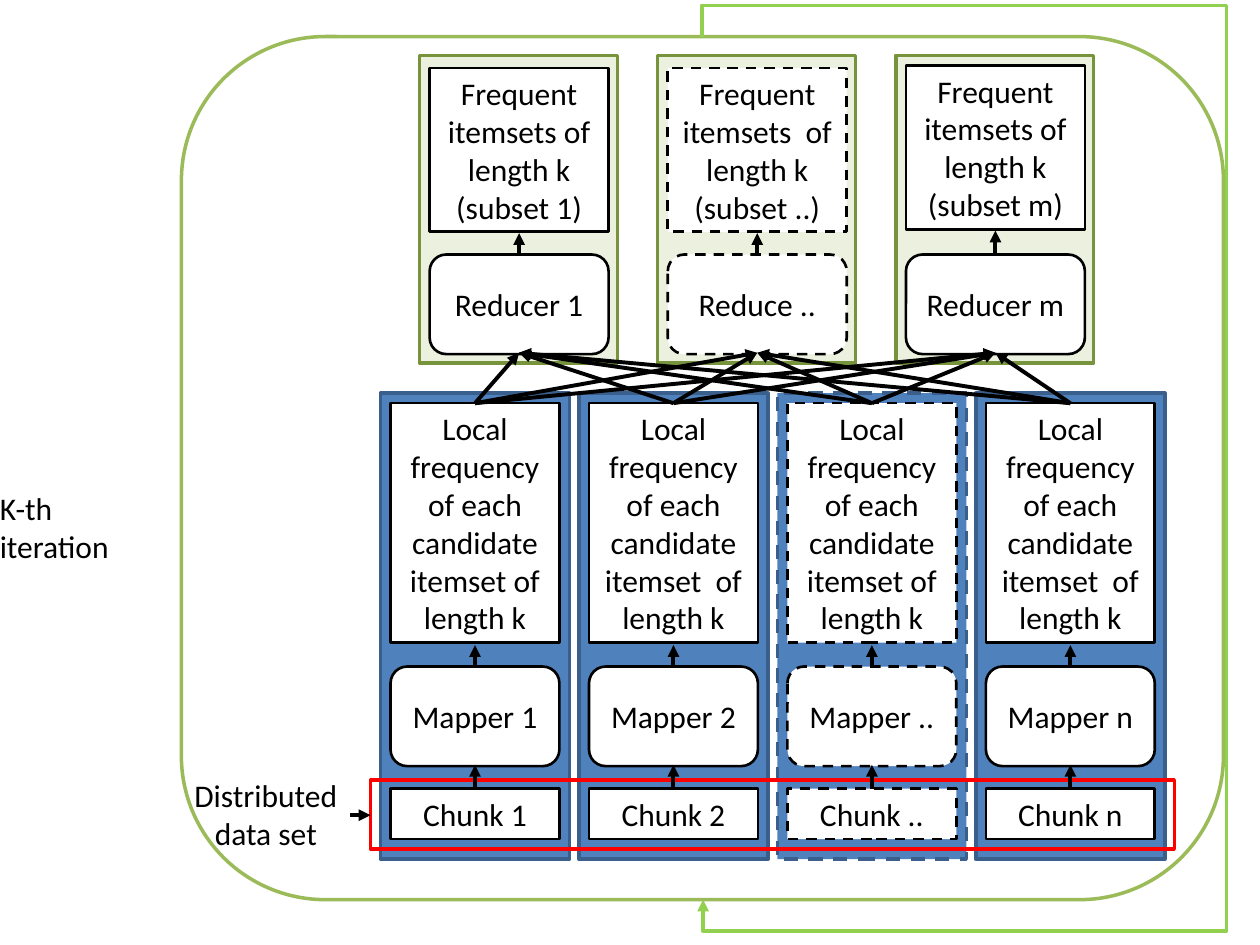
from itertools import product

from lxml import etree
from pptx import Presentation
from pptx.dml.color import RGBColor
from pptx.enum.dml import MSO_LINE
from pptx.enum.shapes import MSO_CONNECTOR, MSO_SHAPE
from pptx.enum.text import MSO_ANCHOR, PP_ALIGN
from pptx.oxml.ns import qn
from pptx.util import Inches, Pt

RECTANGLE, ROUNDED = MSO_SHAPE.RECTANGLE, MSO_SHAPE.ROUNDED_RECTANGLE
STRAIGHT, ELBOW = MSO_CONNECTOR.STRAIGHT, MSO_CONNECTOR.ELBOW
TOP, MIDDLE = MSO_ANCHOR.TOP, MSO_ANCHOR.MIDDLE
LEFT, CENTER = PP_ALIGN.LEFT, PP_ALIGN.CENTER
DASH = MSO_LINE.DASH

COLUMNS, ROWS = 100, 75
BLACK, WHITE, RED = "000000", "FFFFFF", "FF0000"
MAPPER_FILL, MAPPER_EDGE = "4F81BD", "3A5F8C"
REDUCER_FILL, REDUCER_EDGE = "EBF1DE", "77933C"
FRAME_EDGE, LOOP_COLOR = "9BBB59", "92D050"


def color(hex_value):
    """Turn a hex string into a colour."""
    return RGBColor.from_string(hex_value)


def write(shape, text, size=18, font="Calibri", ink=BLACK, align=CENTER,
          anchor=TOP, wrap=True):
    """Put formatted text into a shape, one paragraph per line."""
    frame = shape.text_frame
    frame.text = text
    frame.word_wrap = wrap
    frame.vertical_anchor = anchor
    for paragraph in frame.paragraphs:
        paragraph.alignment = align
        paragraph.font.size = Pt(size)
        paragraph.font.name = font
        paragraph.font.color.rgb = color(ink)


class Diagram:
    """Holds the slide, its grid and the line style."""

    def __init__(self, presentation):
        """Add a blank slide and measure its grid."""
        self.slide = presentation.slides.add_slide(presentation.slide_layouts[6])
        self.column = presentation.slide_width / COLUMNS
        self.row = presentation.slide_height / ROWS
        self.edge_width, self.box_width, self.arrow_width = 2, 1.5, 2.25

    def place(self, x, y):
        """Convert grid columns and rows to slide units."""
        return round(x * self.column), round(y * self.row)

    def box(self, kind, x, y, width, height, fill=WHITE, edge=BLACK,
            weight=None, dashed=False, text=None, **style):
        """Draw a preset shape, with text if given."""
        shape = self.slide.shapes.add_shape(
            kind, *self.place(x, y), *self.place(width, height))
        shape.shadow.inherit = False
        if fill:
            shape.fill.solid()
            shape.fill.fore_color.rgb = color(fill)
        else:
            shape.fill.background()
        shape.line.color.rgb = color(edge)
        shape.line.width = Pt(weight or self.box_width)
        if dashed:
            shape.line.dash_style = DASH
        if text:
            write(shape, text, **style)

    def panel(self, kind, x, y, width, height, fill, edge, dashed=False):
        """Draw a background area with a heavier edge."""
        self.box(kind, x, y, width, height, fill, edge, self.edge_width, dashed)

    def label(self, x, y, width, height, text, **style):
        """Add a free text box."""
        shape = self.slide.shapes.add_textbox(
            *self.place(x, y), *self.place(width, height))
        write(shape, text, **style)

    def arrow(self, x1, y1, x2, y2, ink=BLACK, kind=STRAIGHT):
        """Draw a connector with a triangle at its end."""
        connector = self.slide.shapes.add_connector(
            kind, *self.place(x1, y1), *self.place(x2, y2))
        connector.line.color.rgb = color(ink)
        connector.line.width = Pt(self.arrow_width)
        line = connector.line._get_or_add_ln()
        etree.SubElement(line, qn("a:tailEnd"), type="triangle")
        etree.SubElement(connector._element.spPr, qn("a:effectLst"))
        return connector

    def loop(self, x, top, bottom, right, overshoot, shift=0.1):
        """Lead an arrow from the top, around the right, to the bottom."""
        length = bottom - top
        center_x, center_y = x + shift / 2, (top + bottom) / 2
        connector = self.arrow(
            center_x - length / 2, center_y - shift / 2,
            center_x + length / 2, center_y + shift / 2, LOOP_COLOR, ELBOW)
        properties = connector._element.spPr
        transform = properties.find(qn("a:xfrm"))
        transform.set("rot", str(270 * 60000))
        transform.set("flipH", "1")
        geometry = properties.find(qn("a:prstGeom"))
        geometry.set("prst", "bentConnector5")
        guides = geometry.find(qn("a:avLst"))
        shares = (-overshoot / length, (right - x) / shift, 1 + overshoot / length)
        for number, share in enumerate(shares, 1):
            etree.SubElement(guides, qn("a:gd"), name=f"adj{number}",
                             fmla=f"val {round(share * 100000)}")


def main():
    """Build the slide and save it."""
    presentation = Presentation()
    presentation.slide_width, presentation.slide_height = Inches(10), Inches(7.5)
    diagram = Diagram(presentation)

    # name, gap before "of", dashed
    mappers = [("1", " ", False), ("2", "  ", False),
               ("..", " ", True), ("n", "  ", False)]
    mapper_centers = [37.7 + 15.75 * index for index in range(len(mappers))]
    # title, subset, gap before "of", dashed, top of the result box
    reducers = [("Reducer 1", "1", " ", False, 5.4),
                ("Reduce ..", "..", "  ", True, 5.4),
                ("Reducer m", "m", " ", False, 5.2)]
    reducer_centers = [41.2 + 18.9 * index for index in range(len(reducers))]

    diagram.panel(ROUNDED, 14.4, 2.9, 82.7, 68.5, WHITE, FRAME_EDGE)
    for center in reducer_centers:
        diagram.panel(RECTANGLE, center - 7.9, 4.4, 15.7, 24.4,
                      REDUCER_FILL, REDUCER_EDGE)
    for center, (_, _, dashed) in zip(mapper_centers, mappers):
        diagram.panel(RECTANGLE, center - 7.5, 31.2, 15, 37,
                      MAPPER_FILL, MAPPER_EDGE, dashed)
    diagram.panel(RECTANGLE, 29.4, 61.9, 63.8, 5.5, None, RED)

    for center, (name, gap, dashed) in zip(mapper_centers, mappers):
        left = center - 6.7
        diagram.box(RECTANGLE, left, 62.6, 13.4, 4, dashed=dashed,
                    text=f"Chunk {name}")
        diagram.box(ROUNDED, left, 52.9, 13.4, 7.9, dashed=dashed,
                    text=f"Mapper {name}", anchor=MIDDLE)
        diagram.box(RECTANGLE, left, 32, 13.4, 19, dashed=dashed,
                    text=f"Local frequency of each candidate itemset{gap}of length k")
        diagram.arrow(center, 62.6, center, 60.7)
        diagram.arrow(center, 52.8, center, 51.2)

    for center, (title, subset, gap, dashed, top) in zip(reducer_centers, reducers):
        left = center - 7.1
        diagram.box(ROUNDED, left, 20.2, 14.2, 7.9, dashed=dashed,
                    text=title, anchor=MIDDLE)
        diagram.box(RECTANGLE, left, top, 14.2, 13, dashed=dashed,
                    text=f"Frequent itemsets{gap}of length k (subset {subset})")
        diagram.arrow(center, 20.2, center, top + 13.1)

    for mapper, reducer in product(mapper_centers, reducer_centers):
        diagram.arrow(mapper, 32, reducer, 28)

    diagram.label(14.4, 61.1, 13.4, 7, "Distributed\ndata set")
    diagram.arrow(27.8, 64.7, 29.4, 64.7)
    diagram.label(-1, 38.3, 15.3, 4, "K-th iteration", align=LEFT, wrap=False)
    diagram.loop(55.7, 2.9, 71.4, right=98, overshoot=2.5)

    presentation.save("out.pptx")


main()
